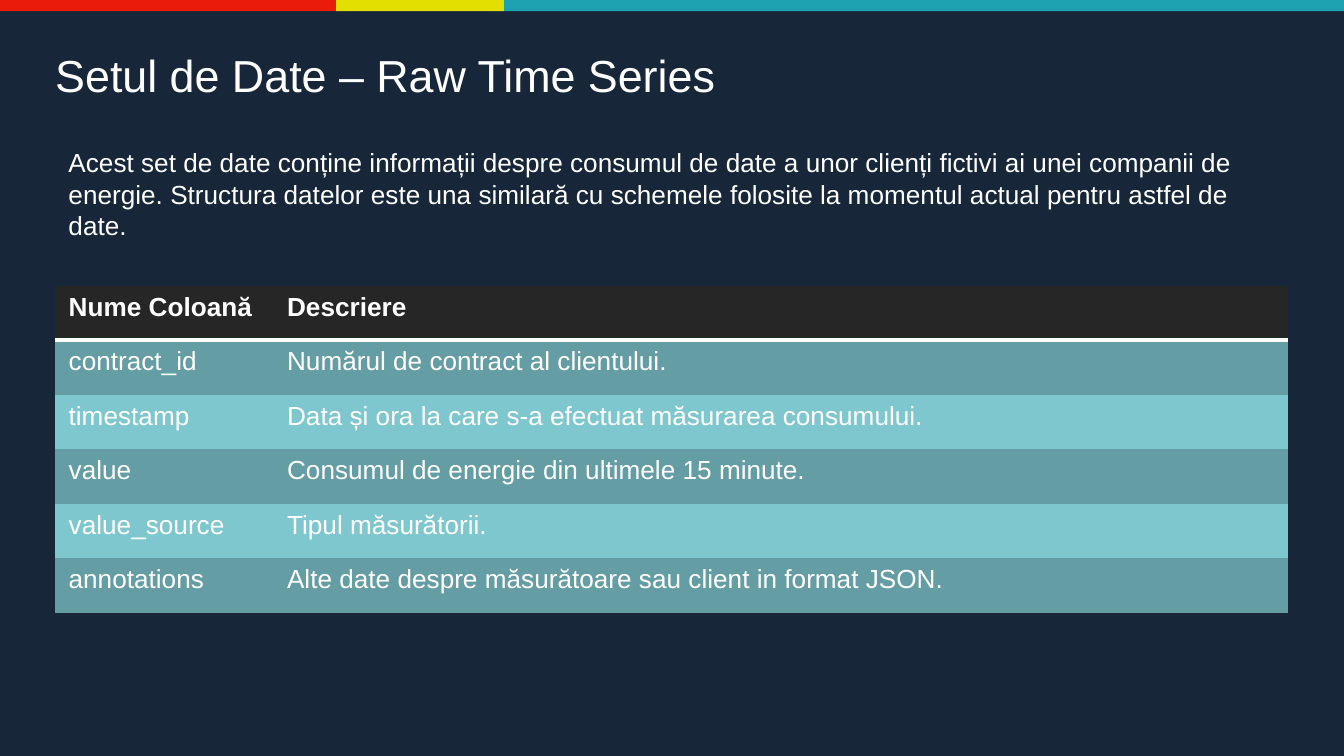
from lxml.etree import SubElement
from pptx import Presentation
from pptx.dml.color import RGBColor
from pptx.enum.shapes import MSO_SHAPE as Shape
from pptx.enum.text import MSO_ANCHOR as Anchor, PP_ALIGN as Align
from pptx.oxml import parse_xml
from pptx.oxml.ns import nsdecls, qn
from pptx.util import Pt

WHITE = "FFFFFF"
NO_GRID_STYLE = "{2D5ABB26-0587-4C30-8999-92F81FD0307C}"
LEFT = 29.6


def paint(fill, color):
    fill.solid()
    fill.fore_color.rgb = RGBColor.from_string(color)


def write(frame, text, size, bold=False):
    para = frame.paragraphs[0]
    para.alignment = Align.LEFT
    span = para.add_run()
    span.text = text
    for name, value in {"name": "Arial", "size": Pt(size), "bold": bold}.items():
        setattr(span.font, name, value)
    span.font.color.rgb = RGBColor.from_string(WHITE)
    return para


deck = Presentation()
deck.slide_width, deck.slide_height = Pt(720), Pt(405)
page = deck.slides.add_slide(deck.slide_layouts[5])
paint(page.background.fill, "172739")

# Coloured strip along the top edge
strip_left = 0
for width, color in [(180, "EA1B0A"), (90, "E3E000"), (450, "1EA2B1")]:
    strip = page.shapes.add_shape(Shape.RECTANGLE, Pt(strip_left), 0, Pt(width), Pt(6))
    strip.shadow.inherit = False
    paint(strip.fill, color)
    strip.line.fill.background()
    strip_left += width

# Title
title = page.shapes.title
title_place = {"left": LEFT, "top": 29.5, "width": 660, "height": 25}
for name, value in title_place.items():
    setattr(title, name, Pt(value))
title_format = {"margin_left": 0, "margin_right": 0, "margin_top": 0,
                "margin_bottom": 0, "vertical_anchor": Anchor.TOP, "word_wrap": True}
for name, value in title_format.items():
    setattr(title.text_frame, name, value)
write(title.text_frame, "Setul de Date – Raw Time Series", 24).line_spacing = 0.87

# Introduction
intro = page.shapes.add_textbox(Pt(LEFT), Pt(75), Pt(641.5), Pt(41))
intro.text_frame.word_wrap = True
write(intro.text_frame,
      "Acest set de date conține informații despre consumul de date a unor clienți "
      "fictivi ai unei companii de energie. Structura datelor este una similară cu "
      "schemele folosite la momentul actual pentru astfel de date.", 14)

# Table of columns
rows = [
    ("Nume Coloană", "Descriere"),
    ("contract_id", "Numărul de contract al clientului."),
    ("timestamp", "Data și ora la care s-a efectuat măsurarea consumului."),
    ("value", "Consumul de energie din ultimele 15 minute."),
    ("value_source", "Tipul măsurătorii."),
    ("annotations", "Alte date despre măsurătoare sau client in format JSON."),
]
column_widths = [117, 543.5]
row_height = 29.2
table = page.shapes.add_table(
    len(rows), len(column_widths), Pt(LEFT), Pt(153),
    Pt(sum(column_widths)), Pt(row_height * len(rows))).table
table.horz_banding = False
table._tbl.tblPr.find(qn("a:tableStyleId")).text = NO_GRID_STYLE
for column, width in zip(table.columns, column_widths):
    column.width = Pt(width)

for r, texts in enumerate(rows):
    table.rows[r].height = Pt(row_height)
    is_header = r == 0
    color = "262626" if is_header else ("7FC7CF", "649DA4")[r % 2]
    for c, text in enumerate(texts):
        cell = table.cell(r, c)
        paint(cell.fill, color)
        write(cell.text_frame, text, 14, bold=is_header)
        if is_header:
            border = parse_xml(f'<a:lnB {nsdecls("a")} w="{Pt(2)}"/>')
            line_fill = SubElement(border, qn("a:solidFill"))
            SubElement(line_fill, qn("a:srgbClr"), val=WHITE)
            cell._tc.tcPr.insert(0, border)

deck.save("out.pptx")
